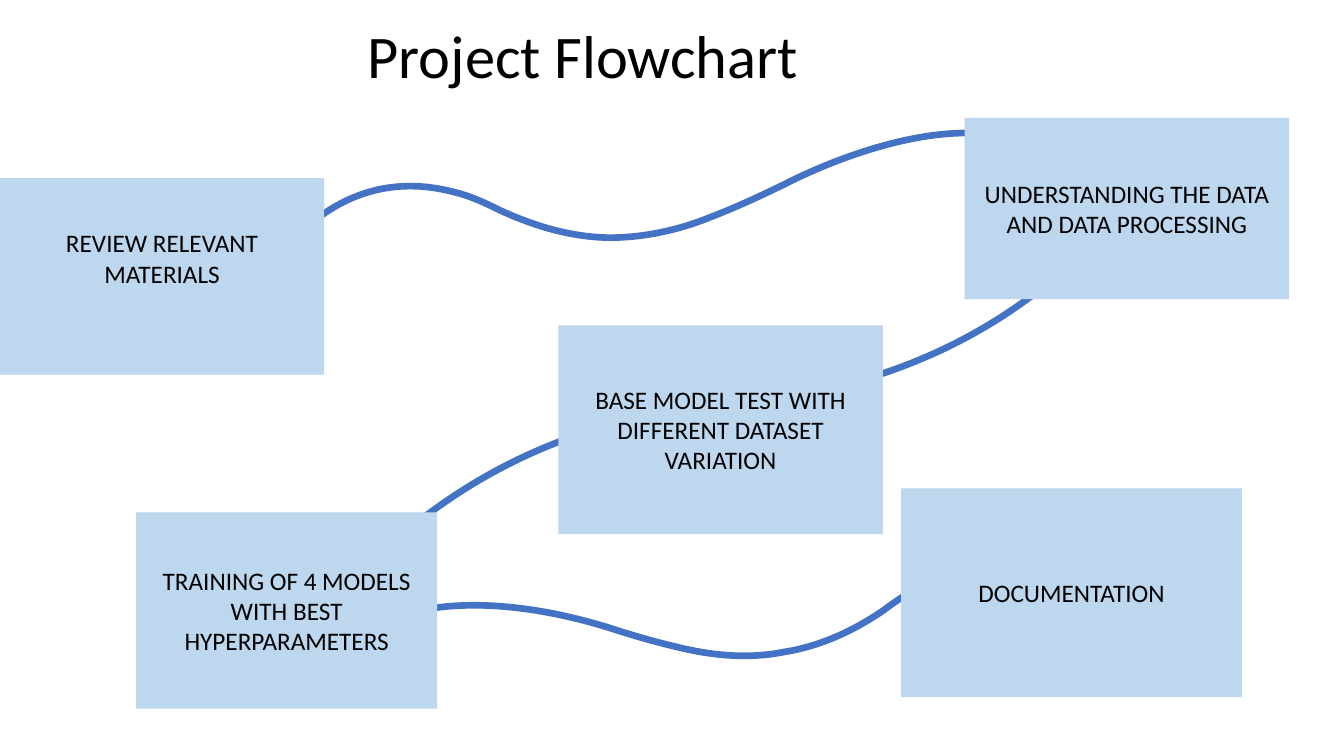
"""Build the project flowchart slide: five step boxes joined by flowing curves."""
from dataclasses import dataclass

from lxml.etree import SubElement
from pptx import Presentation
from pptx.dml.color import RGBColor as RGB
from pptx.enum.shapes import MSO_SHAPE as Shape
from pptx.enum.text import MSO_ANCHOR as Anchor, MSO_AUTO_SIZE as Auto, PP_ALIGN as Align
from pptx.oxml.ns import qn
from pptx.util import Cm, Pt


@dataclass(frozen=True)
class Theme:
    font: str = "Calibri"
    ink: RGB = RGB(0, 0, 0)
    box: RGB = RGB(0xBD, 0xD7, 0xEE)
    curve: RGB = RGB(0x44, 0x72, 0xC4)
    title: Pt = Pt(43.2)
    body: Pt = Pt(18)
    line: Pt = Pt(4.75)


theme = Theme()


def write(frame, text, size):
    frame.word_wrap = True
    frame.auto_size = Auto.NONE
    frame.vertical_anchor = Anchor.MIDDLE
    para = frame.paragraphs[0]
    para.alignment = Align.CENTER
    run = para.add_run()
    run.text = text
    run.font.name, run.font.size = theme.font, size
    run.font.color.rgb = theme.ink
    return para


def bend(shape):
    """Turn every three straight segments into one cubic curve."""
    track = next(shape.element.iter(qn("a:path")))
    lines = track.findall(qn("a:lnTo"))
    for i in range(0, len(lines), 3):
        cubic = SubElement(track, qn("a:cubicBezTo"))
        for line in lines[i:i + 3]:
            cubic.append(line[0])
            track.remove(line)


deck = Presentation()
deck.slide_width, deck.slide_height = Cm(33.87), Cm(19.05)
slide = deck.slides.add_slide(deck.slide_layouts[5])
shapes = slide.shapes

title = shapes.title
title.left, title.top, title.width, title.height = Cm(1.99), Cm(0.55), Cm(25.4), Cm(1.88)
write(title.text_frame, "Project Flowchart", theme.title).line_spacing = 0.9

curves = [
    [(21.16, 9.73), (23.19, 9.22), (25.02, 8.31), (26.59, 6.99)],
    [(14.83, 10.87), (12.93, 11.48), (11.3, 12.45), (9.88, 13.69)],
    [(7.8, 5.66), (8.89, 4.75), (10.11, 4.5), (11.4, 4.83),
     (11.84, 4.93), (12.22, 5.11), (12.62, 5.31),
     (13.46, 5.69), (14.35, 5.97), (15.34, 5.99),
     (16.18, 5.99), (17.02, 5.82), (17.81, 5.51),
     (18.72, 5.16), (19.23, 4.9), (19.76, 4.65),
     (20.35, 4.34), (23.88, 2.62), (26.09, 3.71)],
    [(23.37, 14.71), (22.96, 14.88), (22.63, 15.11), (22.28, 15.37),
     (21.54, 15.88), (20.7, 16.28), (19.76, 16.43),
     (18.95, 16.59), (18.14, 16.54), (17.3, 16.36),
     (16.38, 16.15), (15.85, 15.98), (15.29, 15.8),
     (14.68, 15.62), (11.02, 14.48), (8.81, 16.15)],
]
for knots in curves:
    start, *rest = [(Cm(x), Cm(y)) for x, y in knots]
    pen = shapes.build_freeform(*start)
    pen.add_line_segments(rest, close=False)
    curve = pen.convert_to_shape()
    bend(curve)
    curve.shadow.inherit = False
    curve.fill.background()
    curve.line.color.rgb = theme.curve
    curve.line.width = theme.line

steps = [
    ("UNDERSTANDING THE DATA AND DATA PROCESSING", 24.31, 2.97, 8.18, 4.57, 0.13),
    ("REVIEW RELEVANT MATERIALS", 0, 4.49, 8.17, 4.95, 1.05),
    ("BASE MODEL TEST WITH DIFFERENT DATASET VARIATION", 14.07, 8.2, 8.18, 5.26, 0.13),
    ("DOCUMENTATION", 22.71, 12.31, 8.59, 5.26, 0.13),
    ("TRAINING OF 4 MODELS WITH BEST HYPERPARAMETERS", 3.43, 12.91, 7.59, 4.95, 0.13),
]
for text, left, top, width, height, inset in steps:
    box = shapes.add_shape(Shape.RECTANGLE, Cm(left), Cm(top), Cm(width), Cm(height))
    box.shadow.inherit = False
    box.fill.solid()
    box.fill.fore_color.rgb = theme.box
    box.line.fill.background()
    write(box.text_frame, text, theme.body).space_after = Pt(6)
    box.text_frame.margin_bottom = Cm(inset)

deck.save("out.pptx")
